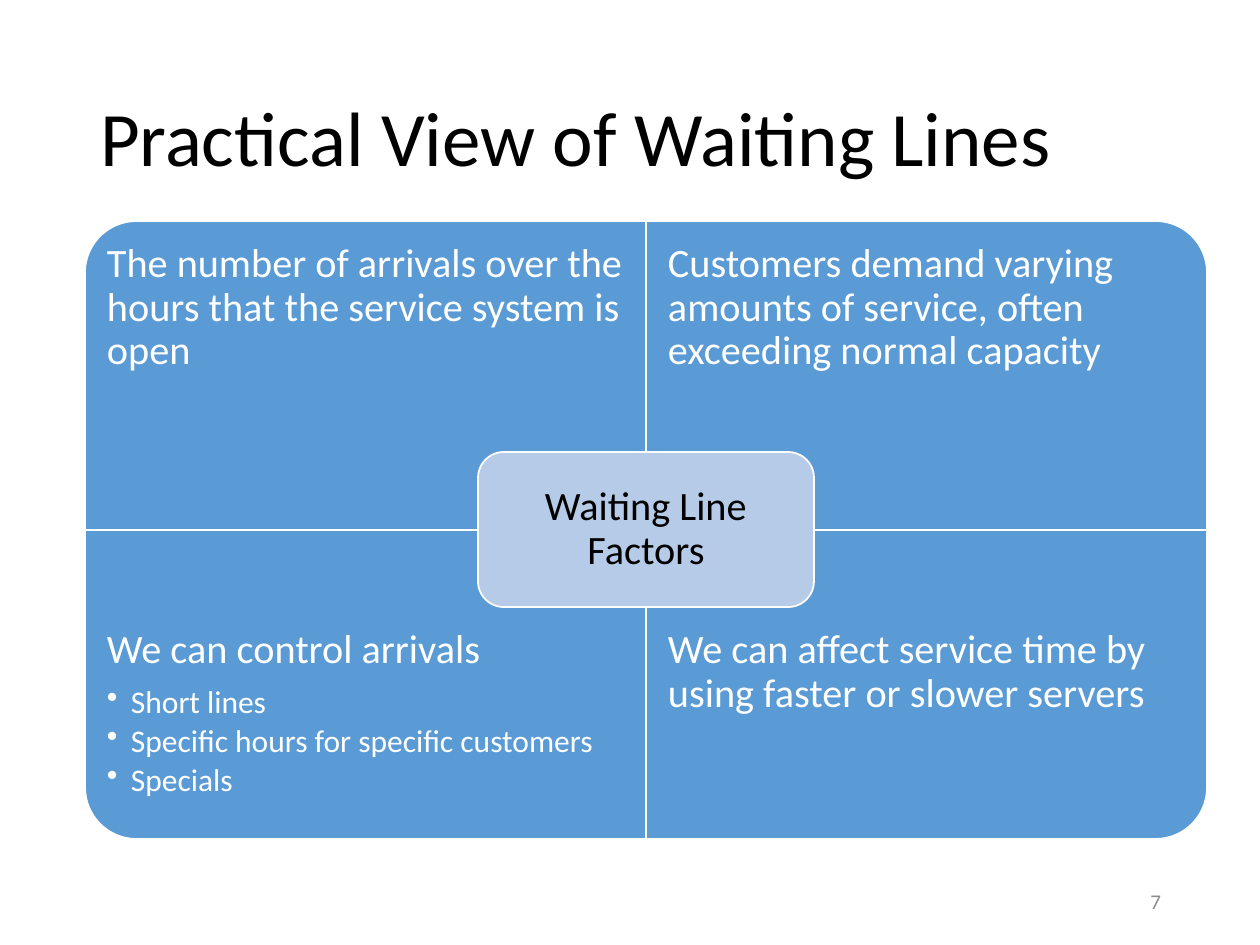
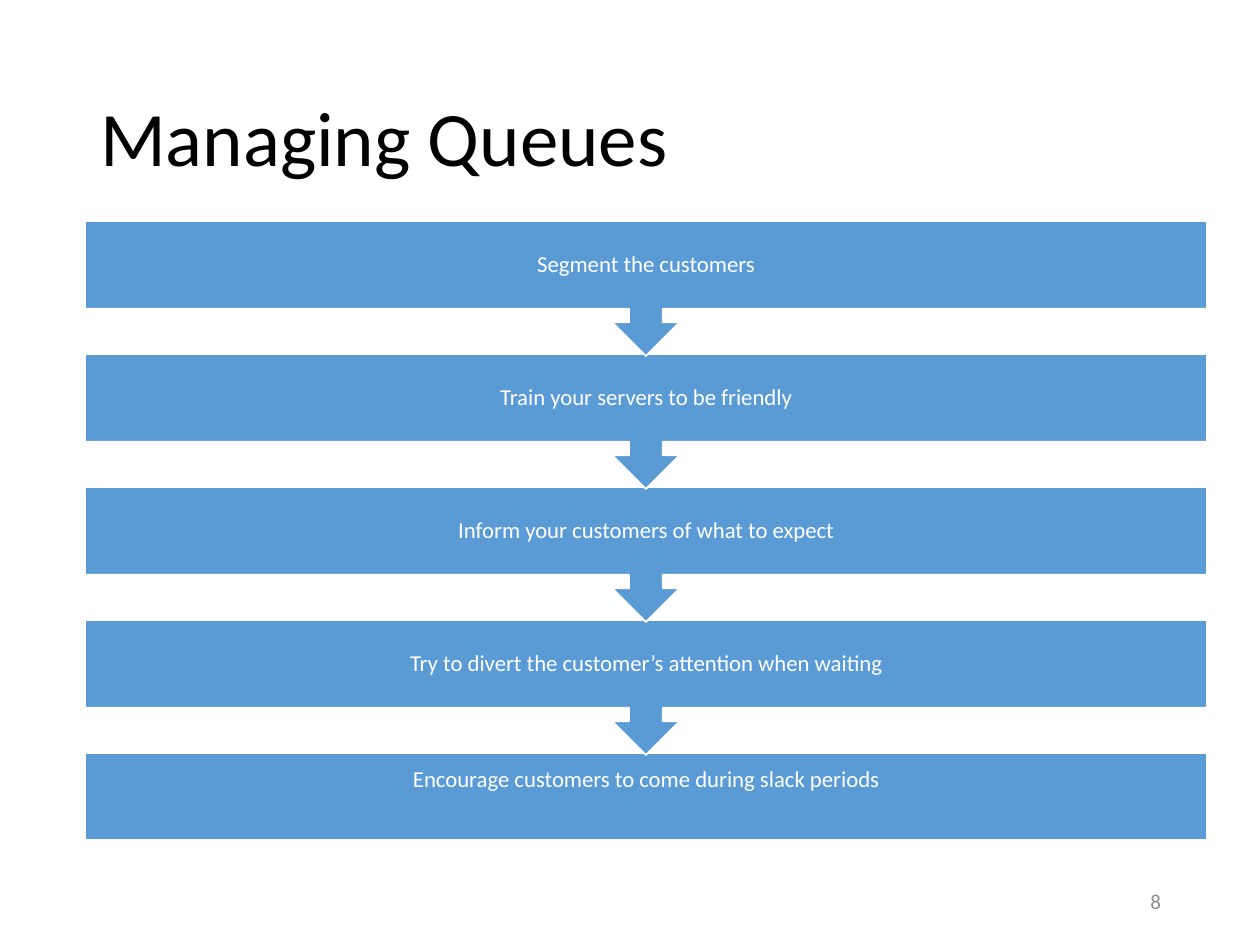
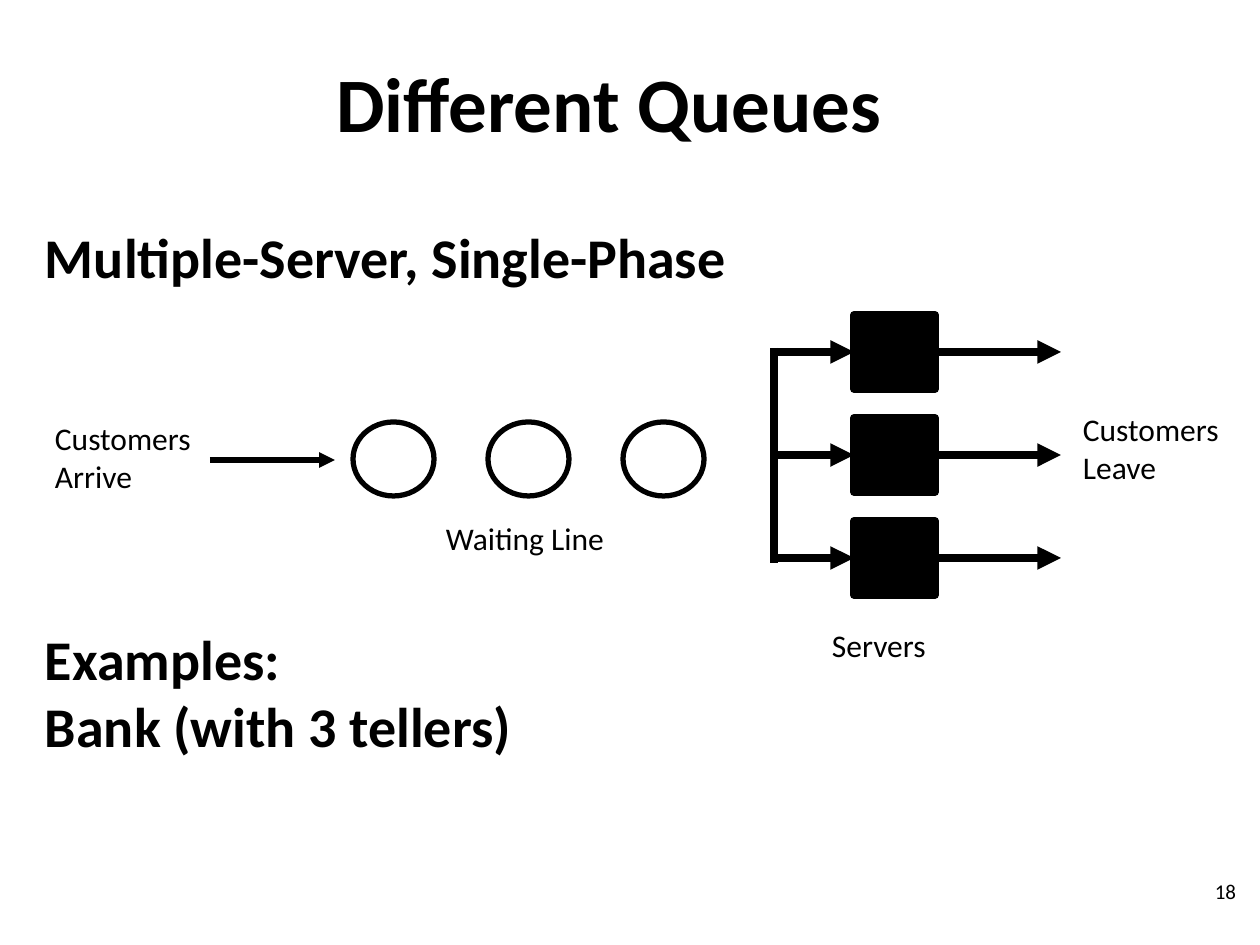
from lxml.etree import SubElement
from pptx import Presentation
from pptx.dml.color import RGBColor
from pptx.enum.shapes import MSO_CONNECTOR, MSO_SHAPE
from pptx.enum.text import MSO_ANCHOR, MSO_AUTO_SIZE, PP_ALIGN
from pptx.oxml.ns import qn
from pptx.util import Emu, Pt

EMU_PER_PX = 914400 / 126
FONT = "Calibri"
BLACK = RGBColor(0x00, 0x00, 0x00)
WHITE = RGBColor(0xFF, 0xFF, 0xFF)
BLUE = RGBColor(0x5B, 0x9B, 0xD5)
PALE_BLUE = RGBColor(0xB5, 0xCB, 0xE7)
GREY = RGBColor(0x8C, 0x8C, 0x8C)

TITLE_ONLY, TITLE_AND_BODY = 5, 1
TITLE_BOX = (87, 50, 1086, 183)
NUMBER_BOX = (890, 876, 284, 50)
DIAGRAM_LEFT, DIAGRAM_TOP = 85, 221
DIAGRAM_WIDTH, DIAGRAM_HEIGHT = 1122, 618


def px(n):
    return Emu(round(n * EMU_PER_PX))


def place(sp, box):
    sp.left, sp.top, sp.width, sp.height = map(px, box)


def set_frame(sp, insets=(13, 6, 13, 6), anchor=MSO_ANCHOR.TOP, wrap=True):
    """Set insets (left, top, right, bottom), anchor and wrapping."""
    tf = sp.text_frame
    tf.margin_left, tf.margin_top, tf.margin_right, tf.margin_bottom = map(px, insets)
    tf.vertical_anchor = anchor
    tf.word_wrap = wrap
    tf.auto_size = MSO_AUTO_SIZE.NONE


def format_paragraph(p, size, color, bold=False, align=PP_ALIGN.LEFT,
                     line_spacing=1.0, before=0, after=0):
    p.alignment = align
    p.line_spacing = line_spacing
    p.space_before, p.space_after = Pt(before), Pt(after)
    for r in p.runs:
        r.font.name = FONT
        r.font.size = Pt(size)
        r.font.bold = bold
        r.font.color.rgb = color


def set_indent(p, left, hanging=0, bullet=None):
    pPr = p._p.get_or_add_pPr()
    pPr.set("marL", str(px(left)))
    pPr.set("indent", str(px(-hanging)))
    if bullet:
        SubElement(pPr, qn("a:buChar")).set("char", bullet)
    else:
        SubElement(pPr, qn("a:buNone"))


def set_text(sp, text, size, color, **style):
    sp.text_frame.text = text
    for p in sp.text_frame.paragraphs:
        format_paragraph(p, size, color, **style)


def add_slide(prs, layout, title, number, title_box=TITLE_BOX, number_box=NUMBER_BOX,
              number_color=GREY, bold=False, align=PP_ALIGN.LEFT):
    slide = prs.slides.add_slide(prs.slide_layouts[layout])
    place(slide.shapes.title, title_box)
    set_frame(slide.shapes.title, anchor=MSO_ANCHOR.MIDDLE)
    set_text(slide.shapes.title, title, 44, BLACK, bold=bold, align=align, line_spacing=0.9)
    add_text(slide, number_box, number, 12, number_color,
             anchor=MSO_ANCHOR.MIDDLE, align=PP_ALIGN.RIGHT)
    return slide


def add_text(slide, box, text, size, color, insets=(13, 6, 13, 6),
             anchor=MSO_ANCHOR.TOP, wrap=True, **style):
    sp = slide.shapes.add_textbox(*map(px, box))
    set_frame(sp, insets, anchor, wrap)
    set_text(sp, text, size, color, **style)
    return sp


def add_box(slide, kind, box, fill, line=WHITE, line_width=1):
    sp = slide.shapes.add_shape(kind, *map(px, box))
    sp.shadow.inherit = False
    if fill is None:
        sp.fill.background()
    else:
        sp.fill.solid()
        sp.fill.fore_color.rgb = fill
    sp.line.color.rgb = line
    sp.line.width = Pt(line_width)
    return sp


def add_line(slide, start, end, width, arrow=True):
    line = slide.shapes.add_connector(MSO_CONNECTOR.STRAIGHT, *map(px, start + end))
    line.line.color.rgb = BLACK
    line.line.width = Pt(width)
    spPr = line._element.spPr
    if arrow:
        SubElement(spPr.find(qn("a:ln")), qn("a:tailEnd")).set("type", "triangle")
    SubElement(spPr, qn("a:effectLst"))
    return line


def add_quadrant(slide, col, row, rotation, text, bullets=()):
    """Add one quarter of the matrix; the rotation turns its round corner outwards."""
    w, h = DIAGRAM_WIDTH // 2, DIAGRAM_HEIGHT // 2
    x, y = DIAGRAM_LEFT + col * w, DIAGRAM_TOP + row * h
    box = (x, y, w, h)
    if rotation % 180:
        box = (x + (w - h) / 2, y + (h - w) / 2, h, w)
    quadrant = add_box(slide, MSO_SHAPE.ROUND_1_RECTANGLE, box, BLUE)
    quadrant.rotation = rotation

    text_height = 232
    text_top = y + row * (h - text_height)
    sp = add_text(slide, (x, text_top, w, text_height), text, 23, WHITE,
                  insets=(22, 22, 22, 22), line_spacing=0.9, after=8)
    for bullet in bullets:
        p = sp.text_frame.add_paragraph()
        p.text = bullet
        p.level = 1
        format_paragraph(p, 18, WHITE, line_spacing=0.9, after=2.7)
        set_indent(p, 24, 24, "•")


def add_factors_slide(prs):
    slide = add_slide(prs, TITLE_ONLY, "Practical View of Waiting Lines", "7")
    add_quadrant(slide, 0, 0, 270,
                 "The number of arrivals over the hours that the service system is open")
    add_quadrant(slide, 1, 0, 0,
                 "Customers demand varying amounts of service, often exceeding normal capacity")
    add_quadrant(slide, 0, 1, 180, "We can control arrivals",
                 ["Short lines", "Specific hours for specific customers", "Specials"])
    add_quadrant(slide, 1, 1, 90,
                 "We can affect service time by using faster or slower servers")
    center = add_box(slide, MSO_SHAPE.ROUNDED_RECTANGLE, (478, 452, 336, 155), PALE_BLUE)
    set_frame(center, (20, 20, 20, 20), MSO_ANCHOR.MIDDLE)
    set_text(center, "Waiting Line Factors", 23, BLACK,
             align=PP_ALIGN.CENTER, line_spacing=0.9)


def add_steps_slide(prs):
    slide = add_slide(prs, TITLE_ONLY, "Managing Queues", "8")
    steps = [
        "Segment the customers",
        "Train your servers to be friendly",
        "Inform your customers of what to expect",
        "Try to divert the customer’s attention when waiting",
        "Encourage customers to come during slack periods",
    ]
    pitch = 133
    last = len(steps) - 1
    # The lowest step goes to the back, so that each arrow tip lies on the next step.
    for i, text in reversed(list(enumerate(steps))):
        if i == last:
            kind, height, bottom_inset = MSO_SHAPE.RECTANGLE, 87, 45
        else:
            kind, height, bottom_inset = MSO_SHAPE.DOWN_ARROW_CALLOUT, 135, 13
        box = (DIAGRAM_LEFT, DIAGRAM_TOP + i * pitch, DIAGRAM_WIDTH, height)
        step = add_box(slide, kind, box, BLUE)
        set_frame(step, (13, 13, 13, bottom_inset), MSO_ANCHOR.MIDDLE)
        set_text(step, text, 13, WHITE, align=PP_ALIGN.CENTER, line_spacing=0.9)


def add_queue_slide(prs):
    slide = add_slide(prs, TITLE_AND_BODY, "Different Queues", "18",
                      title_box=(42, 21, 1134, 173), number_box=(955, 858, 294, 66),
                      number_color=BLACK, bold=True, align=PP_ALIGN.CENTER)
    body = slide.placeholders[1]
    place(body, (21, 210, 1256, 644))
    set_frame(body, (8, 13, 13, 6))
    set_text(body, "Multiple-Server, Single-Phase\nExamples:\nBank (with 3 tellers)",
             32, BLACK, bold=True)
    for p in body.text_frame.paragraphs:
        set_indent(p, 16)
    body.text_frame.paragraphs[1].space_before = Pt(191)

    width, height = 81, 74
    for i in range(3):
        add_box(slide, MSO_SHAPE.OVAL, (353 + i * 135, 422, width, height),
                None, BLACK, 3)
    add_line(slide, (210, 460), (335, 460), 3)

    fork_x, server_x, exit_x = 774, 854, 1061
    for i in range(3):
        top = 315 + i * 103
        y = top + height // 2
        server = add_box(slide, MSO_SHAPE.RECTANGLE, (server_x, top, width, height),
                         BLACK, BLACK, 4.5)
        add_line(slide, (server_x + width, y), (exit_x, y), 4.5).begin_connect(server, 3)
        add_line(slide, (fork_x, y), (server_x, y), 4.5).end_connect(server, 1)
    add_line(slide, (fork_x, 348), (fork_x, 563), 4.5, arrow=False)

    for text, box in [
        ("Servers", (819, 620, 135, 50)),
        ("Waiting Line", (433, 513, 199, 50)),
        ("Customers\nArrive", (42, 413, 188, 90)),
        ("Customers\nLeave", (1070, 404, 179, 90)),
    ]:
        add_text(slide, box, text, 18, BLACK, wrap=False)


def main():
    prs = Presentation()
    prs.slide_width, prs.slide_height = px(1260), px(945)
    add_factors_slide(prs)
    add_steps_slide(prs)
    add_queue_slide(prs)
    prs.save("out.pptx")


if __name__ == "__main__":
    main()
